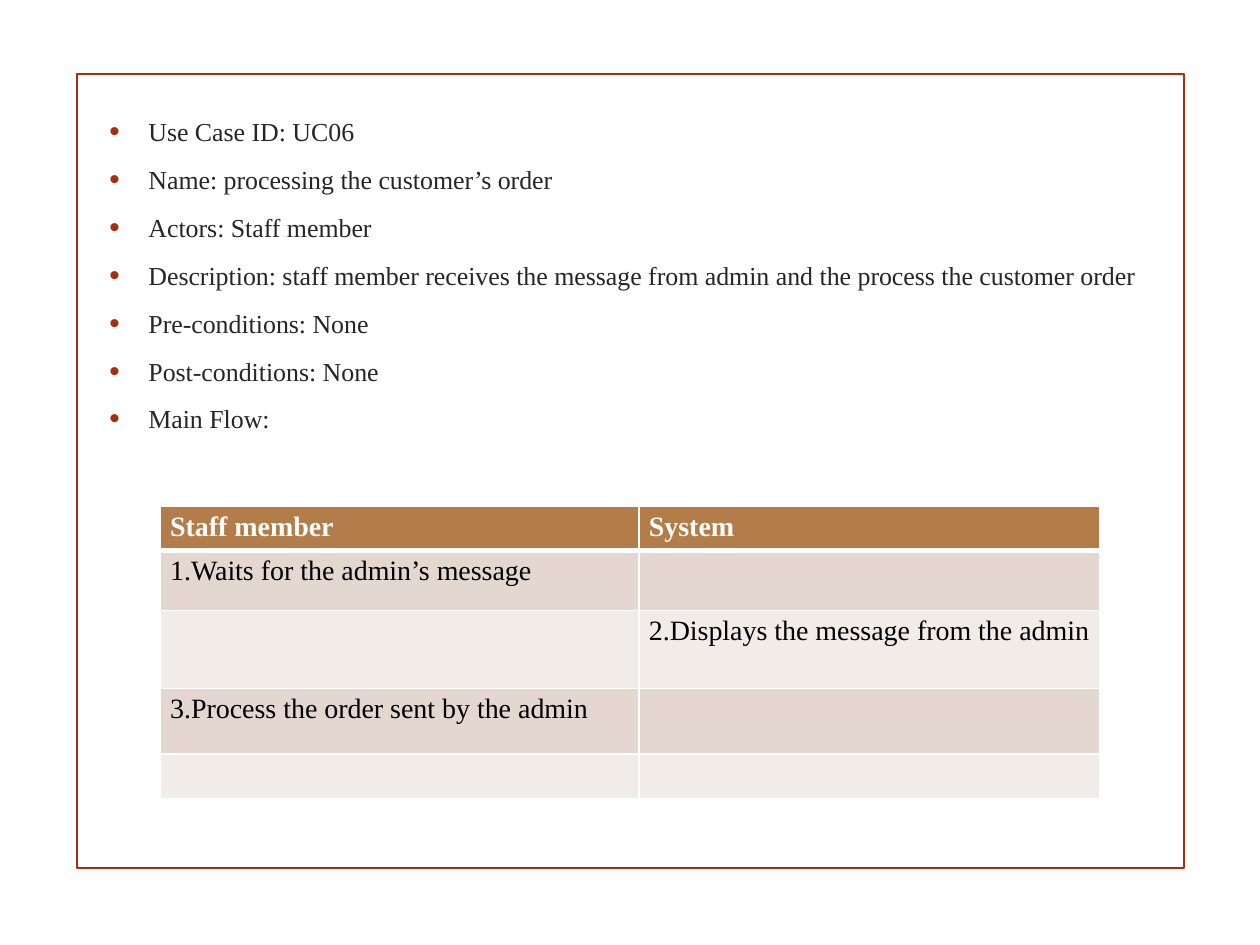
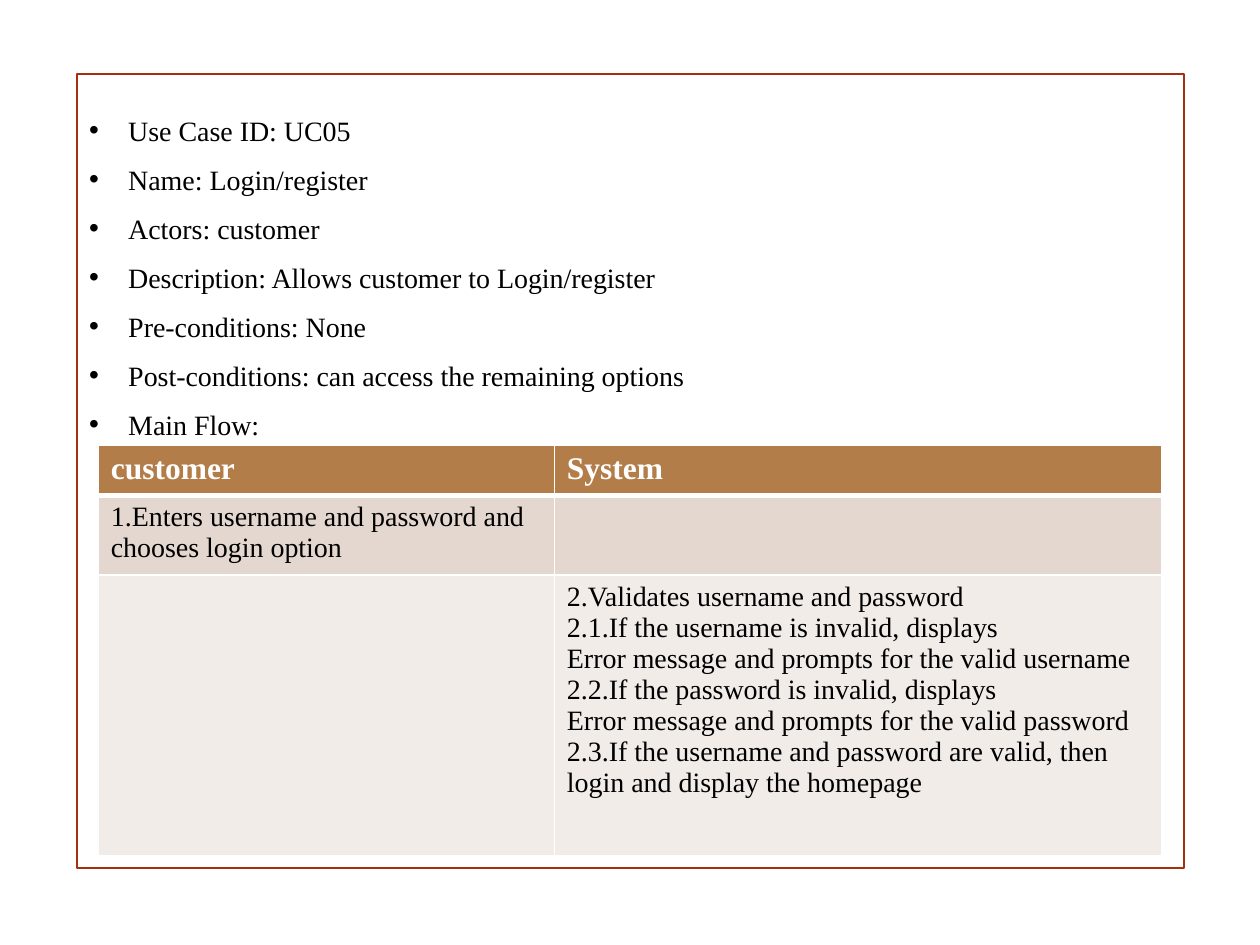
from pptx import Presentation
from pptx.dml.color import RGBColor
from pptx.enum.shapes import MSO_SHAPE
from pptx.oxml.xmlchemy import OxmlElement
from pptx.util import Inches, Pt

RECTANGLE = MSO_SHAPE.RECTANGLE

# Shared look
FONT = "Times New Roman"
RUST = RGBColor(0xA5, 0x30, 0x0F)
BROWN = RGBColor(0xB2, 0x7D, 0x49)
BANDS = [RGBColor(0xE4, 0xD7, 0xD0), RGBColor(0xF2, 0xEC, 0xE9)]
WHITE = RGBColor(0xFF, 0xFF, 0xFF)
BLACK = RGBColor(0, 0, 0)
CHARCOAL = RGBColor(0x26, 0x26, 0x26)
FRAME = (0.61, 0.59, 8.79, 6.3)
BULLET_INDENT = 0.31

# Content: details of each use case, then its main flow
USE_CASES = [
    {
        "details": [
            ("Use Case ID", "UC06"),
            ("Name", "processing the customer’s order"),
            ("Actors", "Staff member"),
            ("Description", "staff member receives the message from admin "
                            "and the process the customer order"),
            ("Pre-conditions", "None"),
            ("Post-conditions", "None"),
            ("Main Flow", ""),
        ],
        "details_box": (0.77, 0.87, 8.64, 2.88),
        "details_font": {"size": Pt(14.8), "color": CHARCOAL},
        "spacing": {"space_before": Pt(3.6), "space_after": Pt(6)},
        "bullet": {"color": RUST, "percent": 115},
        "flow": [
            ("Staff member", "System"),
            ("1.Waits for the admin’s message", ""),
            ("", "2.Displays the message from the admin"),
            ("3.Process the order sent by the admin", ""),
            ("", ""),
        ],
        "flow_at": (1.27, 4.02),
        "columns": [3.8, 3.66],
        "rows": [0.33, 0.48, 0.62, 0.52, 0.35],
        "header_size": 16,
        "margins": {"margin_left": 0.08, "margin_right": 0.08,
                    "margin_top": 0.04, "margin_bottom": 0.04},
    },
    {
        "details": [
            ("Use Case ID", "UC05"),
            ("Name", "Login/register"),
            ("Actors", "customer"),
            ("Description", "Allows customer to Login/register"),
            ("Pre-conditions", "None"),
            ("Post-conditions", "can access the remaining options"),
            ("Main Flow", ""),
        ],
        "details_box": (0.61, 0.73, 8.97, 3.1),
        "details_font": {"size": Pt(16), "color": BLACK},
        "spacing": {"line_spacing": Pt(28)},
        "bullet": {"color": BLACK, "percent": 100},
        "flow": [
            ("customer", "System"),
            ("1.Enters username and password and chooses login option", ""),
            ("", "2.Validates username and password\n"
                 "2.1.If the username is invalid, displays\n"
                 "Error message and prompts for the valid username\n"
                 "2.2.If the password is invalid, displays\n"
                 "Error message and prompts for the valid password\n"
                 "2.3.If the username and password are valid, "
                 "then login and display the homepage"),
        ],
        "flow_at": (0.78, 3.53),
        "columns": [3.62, 4.82],
        "rows": [0.4, 0.63, 2.23],
        "header_size": 18,
        "margins": {"margin_left": 0.1, "margin_right": 0.1,
                    "margin_top": 0.05, "margin_bottom": 0.05},
    },
]


def add_child(parent, tag, **attributes):
    child = OxmlElement(tag)
    for name, value in attributes.items():
        child.set(name, str(value))
    parent.append(child)
    return child


def style_run(run, size, color, bold=False):
    for name, value in {"name": FONT, "size": size, "bold": bold}.items():
        setattr(run.font, name, value)
    run.font.color.rgb = color


def add_frame(slide):
    frame = slide.shapes.add_shape(RECTANGLE, *map(Inches, FRAME))
    frame.shadow.inherit = False
    frame.fill.background()
    frame.line.color.rgb = RUST
    frame.line.width = Pt(1.25)


def set_bullet(paragraph, color, percent):
    properties = paragraph._p.get_or_add_pPr()
    properties.set("marL", str(Inches(BULLET_INDENT)))
    properties.set("indent", str(-Inches(BULLET_INDENT)))
    add_child(add_child(properties, "a:buClr"), "a:srgbClr", val=color)
    add_child(properties, "a:buSzPct", val=percent * 1000)
    add_child(properties, "a:buFont", typeface="Arial")
    add_child(properties, "a:buChar", char="•")


def add_details(slide, case):
    box = slide.shapes.add_textbox(*map(Inches, case["details_box"]))
    frame = box.text_frame
    frame.word_wrap = True
    frame.text = "\n".join(f"{label}: {value}".rstrip()
                           for label, value in case["details"])
    for paragraph in frame.paragraphs:
        for name, value in case["spacing"].items():
            setattr(paragraph, name, value)
        set_bullet(paragraph, **case["bullet"])
        style_run(paragraph.runs[0], **case["details_font"])


def set_borders(cell, widths):
    properties = cell._tc.get_or_add_tcPr()
    for position, (side, width) in enumerate(widths.items()):
        line = OxmlElement(f"a:ln{side}")
        line.set("w", str(Pt(width)))
        add_child(add_child(line, "a:solidFill"), "a:srgbClr", val=WHITE)
        properties.insert(position, line)


def fill_cell(cell, text, row, case):
    header = row == 0
    size = Pt(case["header_size"] if header else 16)
    for name, value in case["margins"].items():
        setattr(cell, name, Inches(value))
    cell.fill.solid()
    cell.fill.fore_color.rgb = BROWN if header else BANDS[(row - 1) % 2]
    set_borders(cell, {"L": 1, "R": 1, "T": 3 if row == 1 else 1,
                       "B": 3 if header else 1})
    cell.text = text
    for paragraph in cell.text_frame.paragraphs:
        for run in paragraph.runs:
            style_run(run, size, WHITE if header else BLACK, header)
        if not paragraph.runs:  # keeps empty rows from growing
            add_child(paragraph._p, "a:endParaRPr", sz=int(size.pt * 100))


def add_flow(slide, case):
    columns, rows = case["columns"], case["rows"]
    extent = (*case["flow_at"], sum(columns), sum(rows))
    table = slide.shapes.add_table(len(rows), len(columns),
                                   *map(Inches, extent)).table
    for column, width in zip(table.columns, columns):
        column.width = Inches(width)
    for row, (texts, height) in enumerate(zip(case["flow"], rows)):
        table.rows[row].height = Inches(height)
        for column, text in enumerate(texts):
            fill_cell(table.cell(row, column), text, row, case)


def main():
    deck = Presentation()
    deck.slide_width, deck.slide_height = Inches(10), Inches(7.5)
    for case in USE_CASES:
        slide = deck.slides.add_slide(deck.slide_layouts[6])
        add_frame(slide)
        add_details(slide, case)
        add_flow(slide, case)
    deck.save("out.pptx")


if __name__ == "__main__":
    main()
